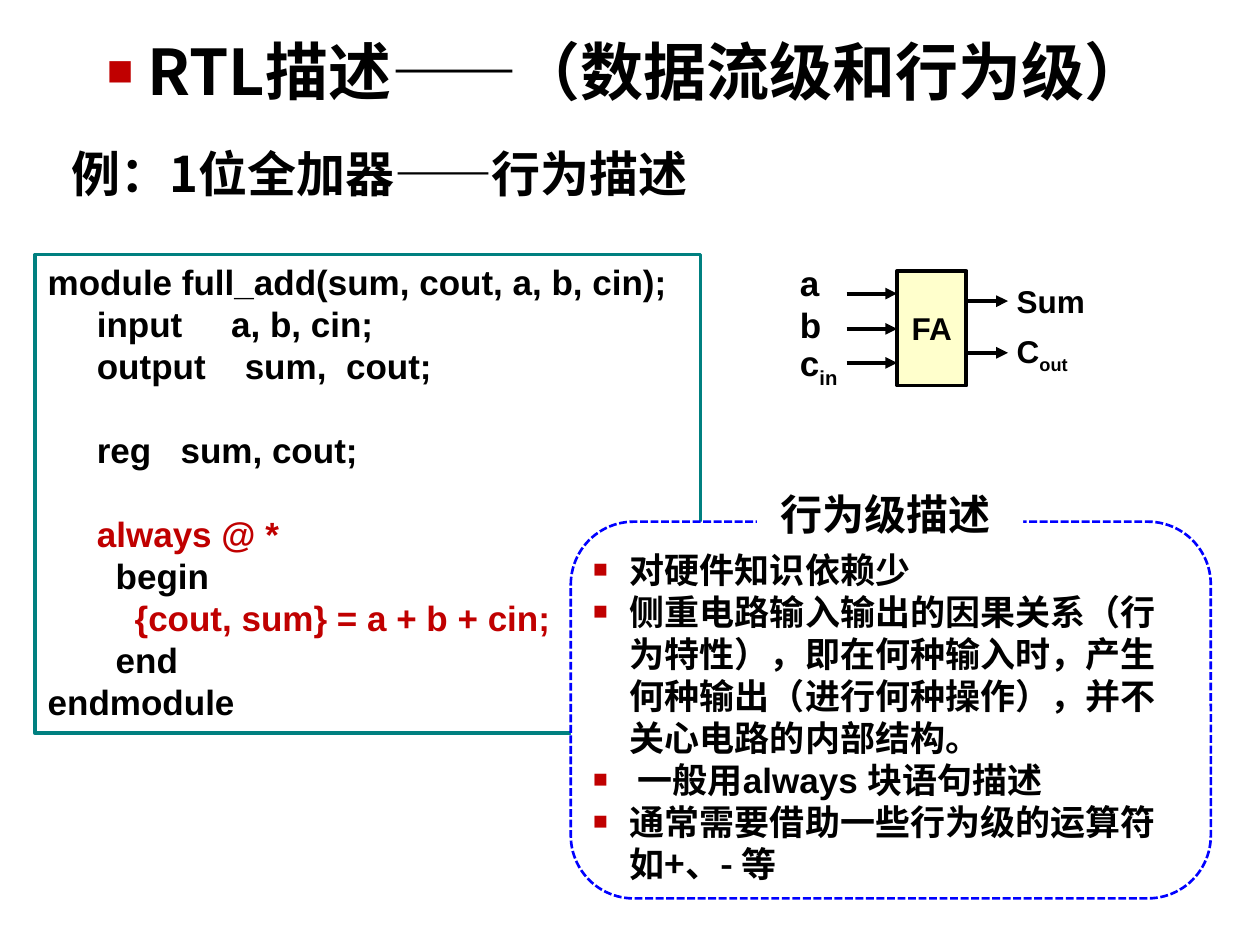
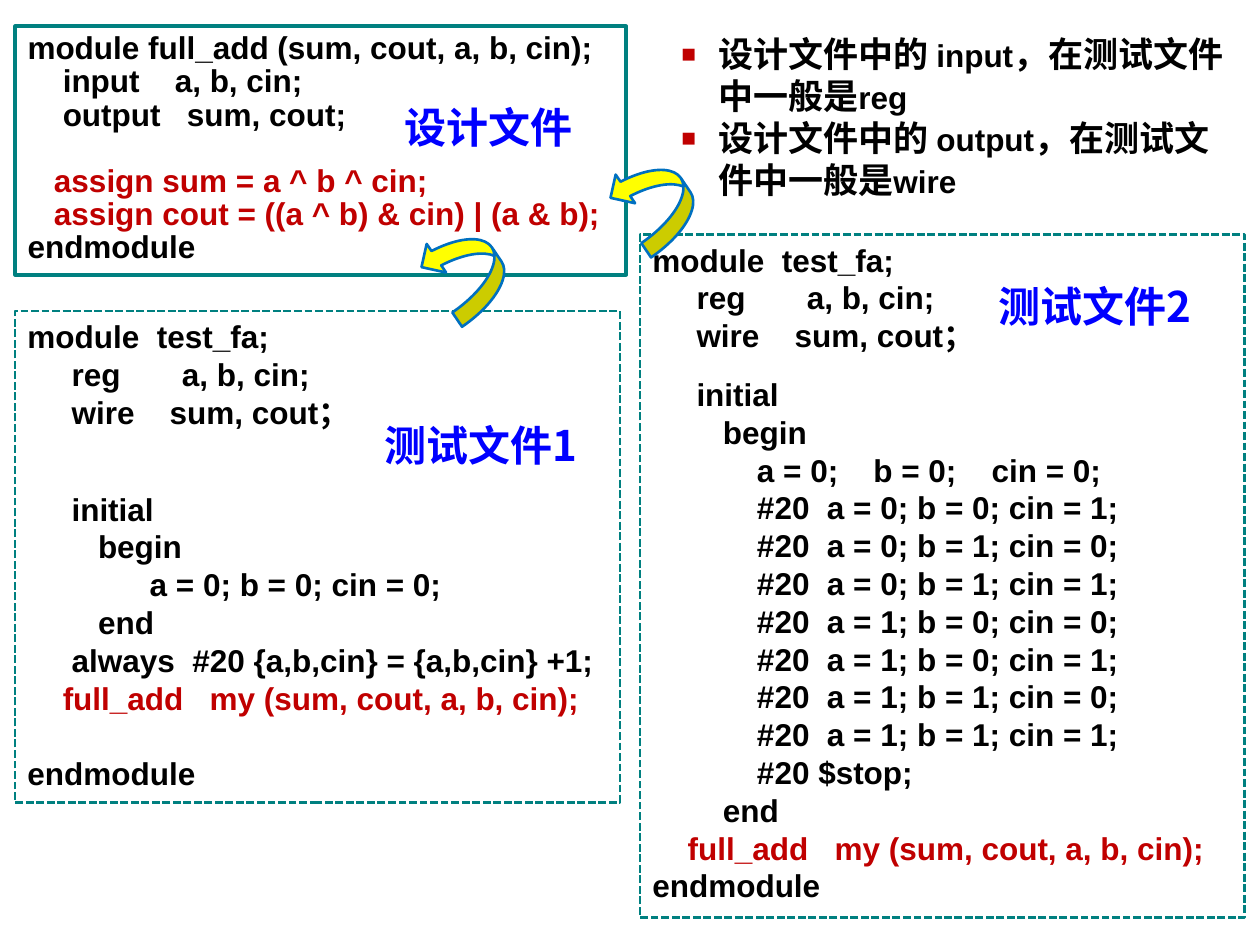
from dataclasses import dataclass

from lxml.etree import SubElement
from pptx import Presentation
from pptx.dml.color import RGBColor
from pptx.enum.dml import MSO_LINE_DASH_STYLE as Dash
from pptx.enum.shapes import MSO_CONNECTOR as Connector, MSO_SHAPE as Shape
from pptx.enum.text import MSO_ANCHOR as Anchor, PP_ALIGN as Align
from pptx.oxml.ns import qn
from pptx.util import Inches, Pt

COLORS = {
    "ink": "000000", "paper": "FFFFFF", "accent": "C00000", "label": "0000FF",
    "code_frame": "008080", "adder": "FFFFCC",
    "arrow": "FFFF00", "arrow_edge": "0070C0",
}
CJK, LATIN, SERIF = "Noto Sans CJK SC", "Arial", "Times New Roman"
LINE_HEIGHT = 1.2
SPACE_WIDTH = 0.278  # of the text size, in Arial


@dataclass
class Code:
    """One line of code; each tab in the text is one gap, in space widths."""
    text: str
    indent: float = 0
    gaps: tuple = ()
    color: str = "ink"
    above: float = 0


def rgb(name):
    return RGBColor.from_string(COLORS[name])


# ---- Shared text and shape helpers ----
def add_run(par, text, size, font=CJK, color="ink", baseline=0, tracking=0):
    run = par.add_run()
    run.text = text
    for name, value in {"size": Pt(size), "bold": True, "name": font}.items():
        setattr(run.font, name, value)
    run.font.color.rgb = rgb(color)
    props = run.font._element
    SubElement(props, qn("a:ea"), typeface=CJK)
    if baseline:
        props.set("baseline", str(baseline * 1000))
    if tracking:
        props.set("spc", str(round(tracking * 100)))


def next_paragraph(frame, size, **formats):
    """Return the first empty paragraph, or a new one, with its format set."""
    first = frame.paragraphs[0]
    par = frame.add_paragraph() if first.runs else first
    base = {"alignment": Align.LEFT, "line_spacing": Pt(round(size * LINE_HEIGHT, 1))}
    for name, value in {**base, **formats}.items():
        setattr(par, name, value)
    return par


def add_bullet(par, hanging=0):
    props = par._p.get_or_add_pPr()
    props.set("marL", str(Inches(hanging)))
    props.set("indent", str(-Inches(hanging)))
    color = SubElement(props, qn("a:buClr"))
    SubElement(color, qn("a:srgbClr"), val=COLORS["accent"])
    SubElement(props, qn("a:buSzPct"), val="70000")
    SubElement(props, qn("a:buFont"), typeface=LATIN)
    SubElement(props, qn("a:buChar"), char="■")


def add_text(slide, box, size, *paragraphs, font=CJK, color="ink", bullet=None, wrap=True):
    """Each paragraph is a list of (text, run format overrides)."""
    frame = slide.shapes.add_textbox(*map(Inches, box)).text_frame
    frame.word_wrap = wrap
    for runs in paragraphs:
        par = next_paragraph(frame, size)
        if bullet is not None:
            add_bullet(par, bullet)
        for text, changes in runs:
            add_run(par, text, **{"size": size, "font": font, "color": color, **changes})


def add_panel(slide, kind, box, fill=None, line=None, width=1.5, dash=None):
    panel = slide.shapes.add_shape(kind, *map(Inches, box))
    panel.shadow.inherit = False
    if fill:
        panel.fill.solid()
        panel.fill.fore_color.rgb = rgb(fill)
    else:
        panel.fill.background()
    if line:
        panel.line.color.rgb = rgb(line)
        panel.line.width = Pt(width)
        panel.line.dash_style = dash
    else:
        panel.line.fill.background()
    panel.text_frame.vertical_anchor = Anchor.TOP
    return panel


def add_code(slide, box, size, lines, spacing=None, **look):
    panel = add_panel(slide, Shape.RECTANGLE, box, line="code_frame", **look)
    frame = panel.text_frame
    frame.word_wrap = True
    for line in lines:
        par = next_paragraph(frame, size, space_before=Pt(line.above))
        if spacing:
            par.line_spacing = Pt(spacing)
        par._p.get_or_add_pPr().set("marL", str(Inches(line.indent)))
        first, *others = line.text.split("\t")
        add_run(par, first, size, LATIN, line.color)
        for gap, part in zip(line.gaps, others):
            # One space, widened by tracking to the whole gap
            add_run(par, " ", size, LATIN, line.color,
                    tracking=(gap - 1) * SPACE_WIDTH * size)
            add_run(par, part, size, LATIN, line.color)


def add_signal(slide, start, end, y):
    signal = slide.shapes.add_connector(
        Connector.STRAIGHT, *map(Inches, (start, y, end, y)))
    signal.line.color.rgb = rgb("ink")
    signal.line.width = Pt(2.25)
    SubElement(signal.line._get_or_add_ln(), qn("a:tailEnd"), type="triangle")
    SubElement(signal._element.spPr, qn("a:effectLst"))


# ---- Slide 1: behavioural description ----
def add_adder_symbol(slide, left, top):
    """Full adder block with three inputs and two outputs."""
    block_left, block_width = left + 0.87, 0.55
    block_right = block_left + block_width
    block = add_panel(slide, Shape.RECTANGLE, (block_left, top + 0.12, block_width, 0.91),
                      "adder", "ink", 2.25)
    frame = block.text_frame
    for name in ("margin_left", "margin_right", "margin_top", "margin_bottom"):
        setattr(frame, name, 0)
    frame.vertical_anchor = Anchor.MIDDLE
    add_run(next_paragraph(frame, 18, alignment=Align.CENTER), "FA", 18, LATIN)

    for y in (0.3, 0.58, 0.85):
        add_signal(slide, left + 0.47, block_left, top + y)
    for y in (0.36, 0.77):
        add_signal(slide, block_right, left + 1.75, top + y)

    sub = {"baseline": -25}
    add_text(slide, (left, top, 0.37, 0.77), 20, [("a", {})], [("b", {})],
             font=LATIN, wrap=False)
    add_text(slide, (left, top + 0.68, 0.65, 0.44), 20, [("c", {}), ("in", sub)], font=LATIN)
    outputs = (0.16, [("Sum", {})]), (0.6, [("C", {}), ("out", sub)])
    for y, output in outputs:
        add_text(slide, (left + 1.72, top + y, 0.75, 0.4), 18, output,
                 font=LATIN, wrap=False)


def add_behaviour_notes(slide, left, top):
    """Dashed card with a heading laid over its upper edge."""
    card = add_panel(slide, Shape.ROUNDED_RECTANGLE, (left, top, 5.08, 2.99),
                     "paper", "label", dash=Dash.SQUARE_DOT)
    card.adjustments[0] = 0.167
    add_text(
        slide, (left + 0.08, top + 0.16, 4.92, 2.79), 20,
        [("对硬件知识依赖少", {})],
        [("侧重电路输入输出的因果关系（行为特性），即在何种输入时，产生何种输出"
          "（进行何种操作），并不关心电路的内部结构。", {})],
        [(" 一般用", {}), ("always ", {"font": LATIN}), ("块语句描述", {})],
        [("通常需要借助一些行为级的运算符如+、- 等", {})],
        bullet=0.29)
    heading = add_panel(slide, Shape.RECTANGLE, (left + 1.48, top - 0.31, 2.11, 0.5), "paper")
    add_run(next_paragraph(heading.text_frame, 24, alignment=Align.CENTER), "行为级描述 ", 24)


def build_behaviour_slide(slide):
    add_text(slide, (0.47, 1.09, 5.48, 0.57), 28, [("例：1位全加器——行为描述", {})])
    add_adder_symbol(slide, 6.25, 2.03)
    add_code(slide, (0.28, 2.02, 5.28, 3.8), 20, [
        Code("module full_add(sum, cout, a, b, cin);"),
        Code("input\ta, b, cin;", 0.39, (5,)),
        Code("output\tsum,\tcout;", 0.39, (4, 2)),
        Code("reg\tsum, cout;", 0.39, (3,), above=24),
        Code("always @ *", 0.39, color="accent", above=24),
        Code("begin", 0.54),
        Code("{cout, sum} = a + b + cin;", 0.69, color="accent"),
        Code("end", 0.54),
        Code("endmodule"),
    ], fill="paper", width=2.25)
    add_text(slide, (0.75, 0.21, 8.98, 0.71), 36,
             [(" RTL描述——（数据流级和行为级）", {})], bullet=0)
    add_behaviour_notes(slide, 4.53, 4.14)


# ---- Slide 2: design file and its test files ----
TEST_HEADER = [
    Code("module\ttest_fa;", 0, (2,)),
    Code("reg\ta, b, cin;", 0.35, (7,)),
    Code("wire\tsum, cout；", 0.35, (4,)),
]
TEST_INSTANCE = Code("full_add\tmy (sum, cout, a, b, cin);", 0.28, (3,), "accent")


def add_file_label(slide, box, label):
    add_text(slide, box, 24, [(label, {})], color="label")


def add_design_file(slide, left, top):
    add_code(slide, (left, top, 4.85, 1.97), 18, [
        Code("module full_add (sum, cout, a, b, cin);"),
        Code("input\ta, b, cin;", 0.28, (4,)),
        Code("output\tsum, cout;", 0.28, (3,)),
        Code("assign sum = a ^ b ^ cin;", 0.21, color="accent", above=19),
        Code("assign cout = ((a ^ b) & cin) | (a & b);", 0.21, color="accent"),
        Code("endmodule"),
    ], spacing=19, width=2.25)
    add_file_label(slide, (left + 2.99, top + 0.55, 1.57, 0.5), "设计文件")


def add_looping_test(slide, left, top):
    add_code(slide, (left, top, 4.8, 3.9), 18, [
        *TEST_HEADER,
        Code("initial", 0.35, above=33.6),
        Code("begin", 0.56),
        Code("a = 0; b = 0; cin = 0;", 0.97),
        Code("end", 0.56),
        Code("always\t#20 {a,b,cin} = {a,b,cin} +1;", 0.35, (2,)),
        TEST_INSTANCE,
        Code("endmodule", above=21.6),
    ], fill="paper", dash=Dash.SQUARE_DOT)
    add_file_label(slide, (left + 2.83, top + 0.81, 1.73, 0.5), "测试文件1")


def add_listing_test(slide, left, top):
    vectors = [Code(f"#20\ta = {n >> 2}; b = {n >> 1 & 1}; cin = {n & 1};", 0.83, (2,))
               for n in range(1, 8)]
    add_code(slide, (left, top, 4.8, 5.42), 18, [
        *TEST_HEADER,
        Code("initial", 0.35, above=12),
        Code("begin", 0.56),
        Code("a = 0;\tb = 0;\tcin = 0;", 0.83, (4, 4)),
        *vectors,
        Code("#20 $stop;", 0.83),
        Code("end", 0.56),
        TEST_INSTANCE,
        Code("endmodule"),
    ], fill="paper", dash=Dash.SQUARE_DOT)
    add_file_label(slide, (left + 2.75, top + 0.32, 1.81, 0.5), "测试文件2")


def build_test_slide(slide):
    add_design_file(slide, 0.12, 0.21)
    add_listing_test(slide, 5.08, 1.86)
    add_looping_test(slide, 0.12, 2.47)
    # Arrows from each test file back to the design file
    for left, top in ((4.84, 1.32), (3.34, 1.87)):
        arrow = add_panel(slide, Shape.CURVED_UP_ARROW, (left, top, 0.71, 0.55),
                          "arrow", "arrow_edge")
        arrow.rotation = 235.8
    # Port kinds in the design file and in the test file
    latin = {"font": LATIN, "size": 18}
    ports = (("input", "reg"), ("output", "wire"))
    rules = [[("设计文件中的 ", {}), (port, latin), ("，在", {"font": SERIF}),
              ("测试文件中一般是", {}), (kind, latin)] for port, kind in ports]
    add_text(slide, (5.31, 0.21, 4.61, 1.45), 20, *rules, bullet=0.29)


def main():
    deck = Presentation()
    deck.slide_width, deck.slide_height = Inches(10), Inches(7.5)
    for build in (build_behaviour_slide, build_test_slide):
        build(deck.slides.add_slide(deck.slide_layouts[6]))
    deck.save("out.pptx")


if __name__ == "__main__":
    main()
